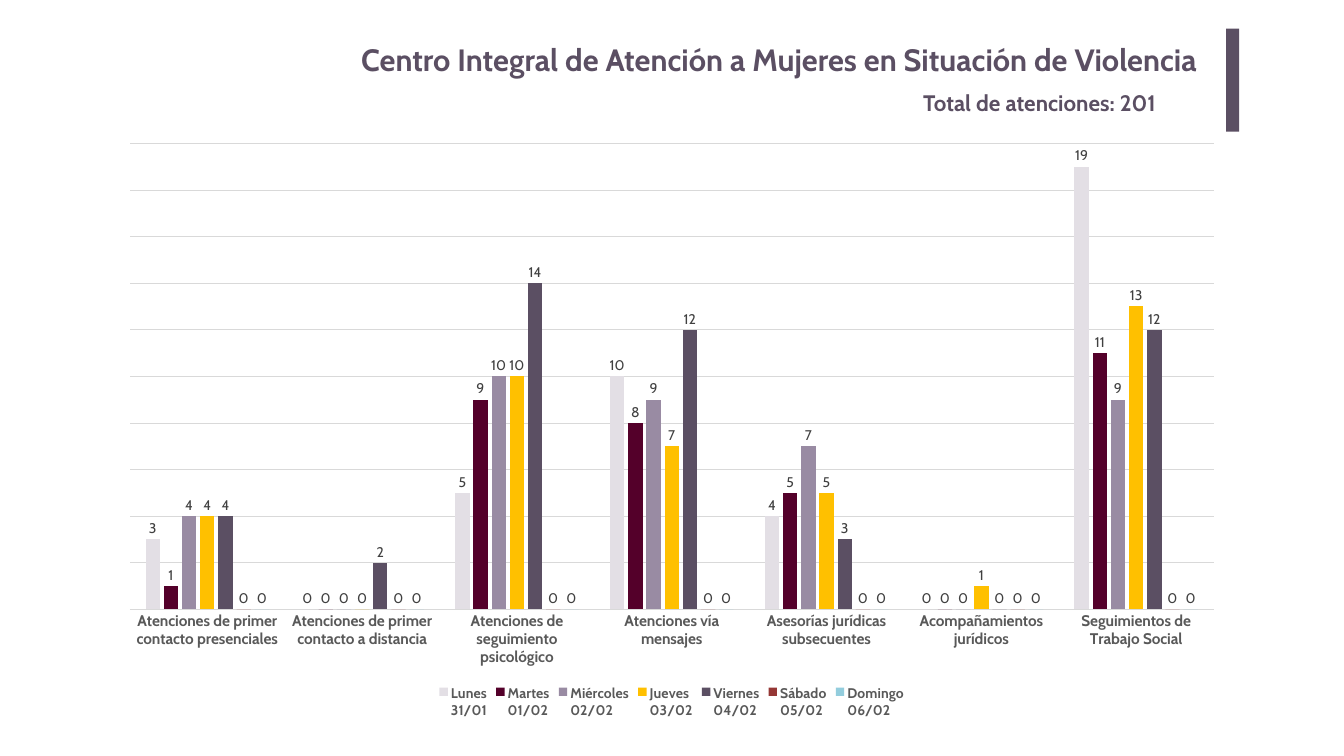
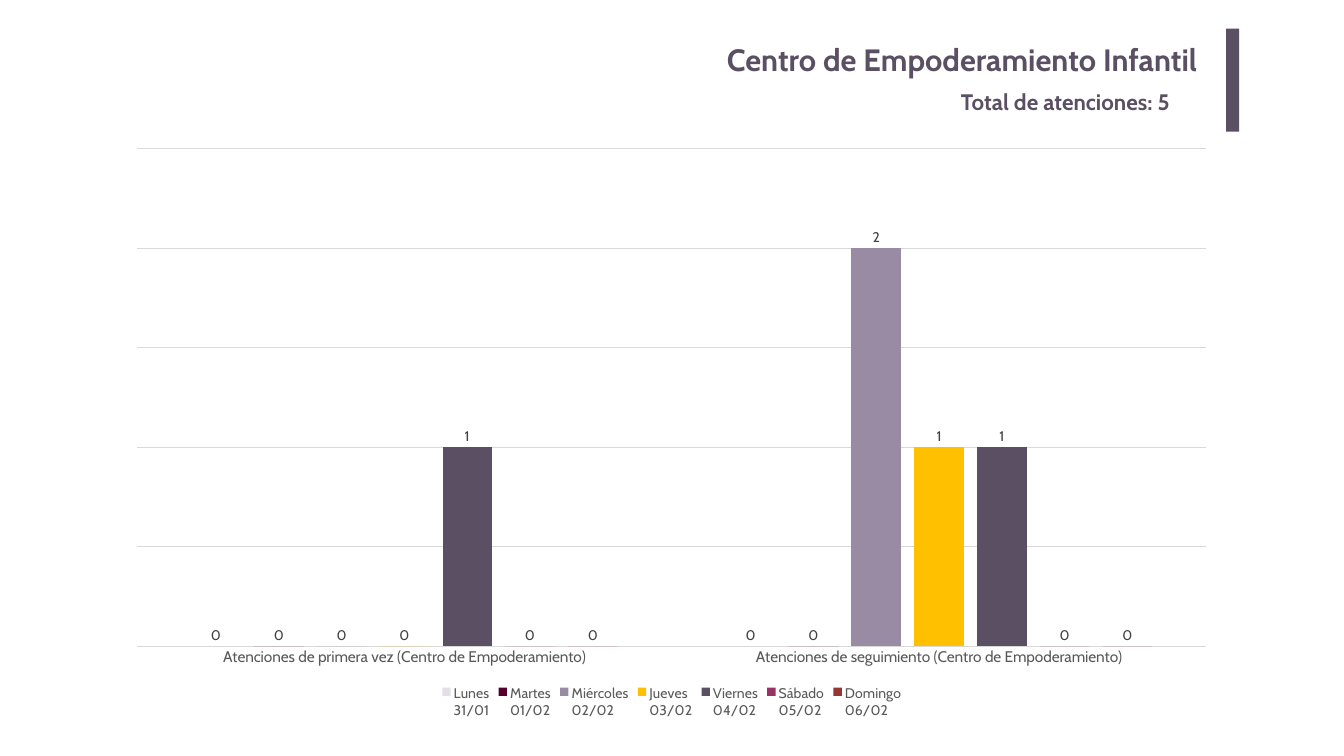
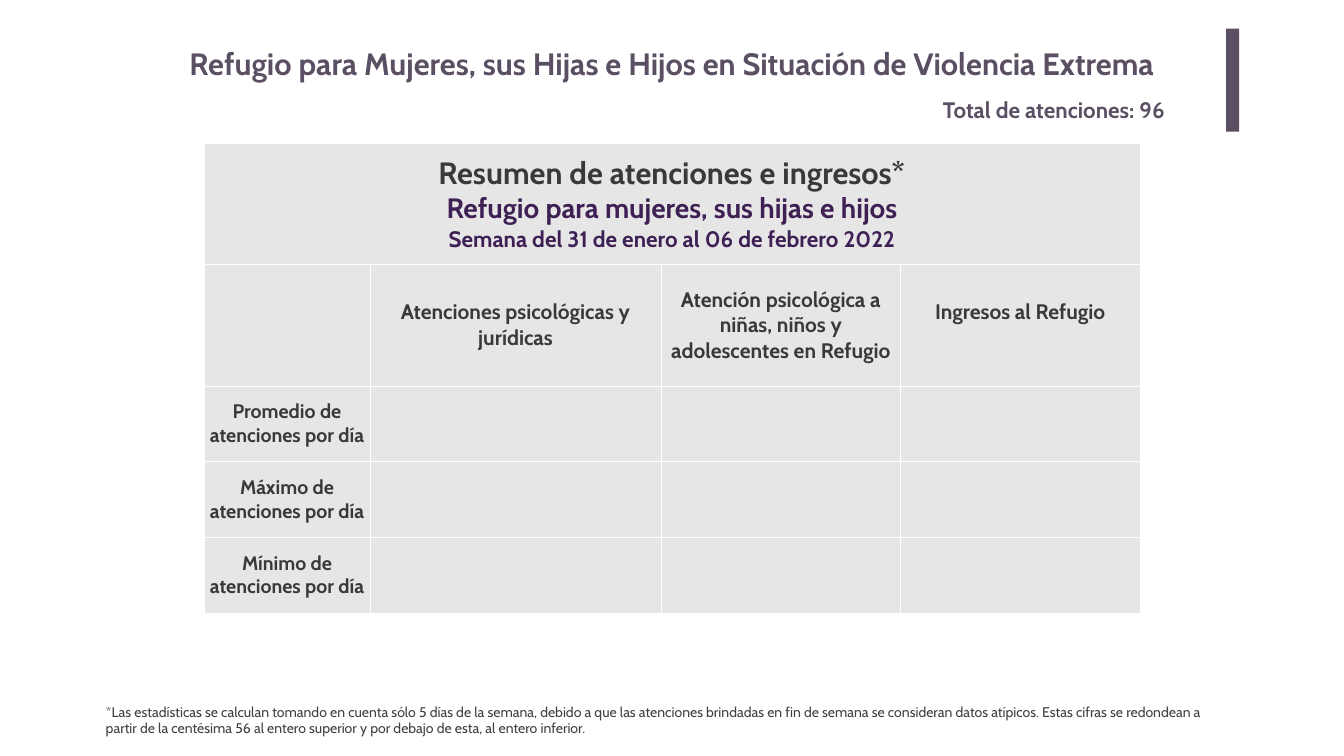
from lxml import etree
from pptx import Presentation
from pptx.chart.data import CategoryChartData
from pptx.dml.color import RGBColor
from pptx.enum.chart import (XL_CHART_TYPE as ChartType, XL_LABEL_POSITION as LabelPos,
                             XL_LEGEND_POSITION as LegendPos, XL_TICK_MARK as Tick)
from pptx.enum.shapes import MSO_SHAPE as Shape
from pptx.enum.text import MSO_ANCHOR as Anchor, MSO_AUTO_SIZE as AutoSize, PP_ALIGN as Align
from pptx.oxml.ns import qn
from pptx.util import Inches, Pt

FONT = "Cabin"
PLUM, VIOLET, WHITE = "5B4F63", "3E2054", "FFFFFF"
INK, TEXT, LABEL = "3B3838", "404040", "595959"
GRID, CELL = "D9D9D9", "E7E6E6"
DAYS = ["Lunes\n31/01", "Martes\n01/02", "Miércoles\n02/02", "Jueves\n03/02",
        "Viernes\n04/02", "Sábado\n05/02", "Domingo\n06/02"]
WEEKDAY_COLORS = ["E3DFE5", "54002A", "998BA3", "FFC000", PLUM]


def rgb(value):
    return RGBColor.from_string(value)


def set_font(font, size, color, bold=False):
    font.name, font.size, font.bold = FONT, Pt(size), bold
    font.color.rgb = rgb(color)


def box(at):
    return [Inches(v) for v in at]


class Report:
    """Holds the shared style and the slide being built."""

    def __init__(self):
        self.prs = Presentation()
        self.prs.slide_width, self.prs.slide_height = Inches(26.67), Inches(15)

    def new_slide(self, title, at, total, total_at, align=Align.RIGHT, inset=0.2):
        self.s = self.prs.slides.add_slide(self.prs.slide_layouts[5])
        sp = self.s.shapes.title
        sp.left, sp.top, sp.width, sp.height = box(at)
        tf = sp.text_frame
        tf.text = title
        tf.auto_size = AutoSize.NONE
        tf.vertical_anchor = Anchor.MIDDLE
        tf.margin_left = tf.margin_right = Inches(inset)
        p = tf.paragraphs[0]
        p.alignment = align
        set_font(p.runs[0].font, 44, PLUM, True)
        self.side_bar()
        self.text(f"Total de atenciones: {total}", total_at, 32, PLUM, True)

    def side_bar(self):
        sp = self.s.shapes.add_shape(Shape.RECTANGLE, *box((24.33, 0.57, 0.26, 2.04)))
        sp.shadow.inherit = False
        sp.fill.solid()
        sp.fill.fore_color.rgb = rgb(PLUM)
        sp.line.fill.background()

    def text(self, text, at, size, color, bold=False):
        tf = self.s.shapes.add_textbox(*box(at)).text_frame
        tf.word_wrap = True
        tf.auto_size = AutoSize.SHAPE_TO_FIT_TEXT
        tf.text = text
        set_font(tf.paragraphs[0].runs[0].font, size, color, bold)

    def column_chart(self, at, cats, rows, weekend_colors, top, step, bold=False):
        """Draw one column per day; rows holds the seven daily values of each category."""
        data = CategoryChartData()
        data.categories = cats
        for day, values in zip(DAYS, zip(*rows)):
            data.add_series(day, values)
        chart = self.s.shapes.add_chart(ChartType.COLUMN_CLUSTERED, *box(at), data).chart
        set_font(chart.font, 10, "000000")
        chart.has_title = False
        chart.has_legend = True
        chart.legend.position = LegendPos.BOTTOM
        chart.legend.include_in_layout = False
        set_font(chart.legend.font, 20, LABEL, bold)

        axis = chart.category_axis
        axis.major_tick_mark = axis.minor_tick_mark = Tick.NONE
        set_font(axis.tick_labels.font, 22, LABEL, bold)
        values = chart.value_axis
        values.visible = False
        values.minimum_scale, values.maximum_scale, values.major_unit = 0, top, step
        for line in (axis.format.line, values.major_gridlines.format.line):
            line.color.rgb = rgb(GRID)
            line.width = Pt(0.75)

        plot = chart.plots[0]
        plot.gap_width, plot.overlap, plot.vary_by_categories = 219, -27, False
        for series, color in zip(plot.series, WEEKDAY_COLORS + weekend_colors):
            series.format.fill.solid()
            series.format.fill.fore_color.rgb = rgb(color)
            series.invert_if_negative = False
            labels = series.data_labels
            labels.show_value = True
            labels.position = LabelPos.OUTSIDE_END
            set_font(labels.font, 20, TEXT)

    def table(self, at, widths, heights):
        tbl = self.s.shapes.add_table(len(heights), len(widths), *box(at)).table
        tbl.first_row = tbl.horz_banding = False
        for col, width in zip(tbl.columns, widths):
            col.width = Inches(width)
        for row, height in zip(tbl.rows, heights):
            row.height = Inches(height)
        for cell in tbl.iter_cells():
            self.borders(cell)
            cell.fill.solid()
            cell.fill.fore_color.rgb = rgb(CELL)
        return tbl

    def borders(self, cell):
        props = cell._tc.get_or_add_tcPr()
        for side in ("lnL", "lnR", "lnT", "lnB"):
            ln = etree.SubElement(props, qn(f"a:{side}"), w=str(Pt(1)))
            fill = etree.SubElement(ln, qn("a:solidFill"))
            etree.SubElement(fill, qn("a:srgbClr"), val=WHITE)

    def cell_text(self, cell, *lines):
        """Each line is a (text, size, color) tuple."""
        cell.vertical_anchor = Anchor.MIDDLE
        cell.margin_left = cell.margin_right = cell.margin_top = cell.margin_bottom = 0
        tf = cell.text_frame
        tf.text = "\n".join(line[0] for line in lines)
        for p, (_, size, color) in zip(tf.paragraphs, lines):
            p.alignment = Align.CENTER
            set_font(p.runs[0].font, size, color, True)


def women_center(report):
    report.new_slide("Centro Integral de Atención a Mujeres en Situación de Violencia",
                     (3.66, 0.67, 20.3, 1.02), 201, (18.22, 1.71, 5.92, 0.64))
    services = {
        "Atenciones de primer contacto presenciales": (3, 1, 4, 4, 4, 0, 0),
        "Atenciones de primer contacto a distancia": (0, 0, 0, 0, 2, 0, 0),
        "Atenciones de seguimiento psicológico": (5, 9, 10, 10, 14, 0, 0),
        "Atenciones vía mensajes": (10, 8, 9, 7, 12, 0, 0),
        "Asesorías jurídicas subsecuentes": (4, 5, 7, 5, 3, 0, 0),
        "Acompañamientos jurídicos": (0, 0, 0, 1, 0, 0, 0),
        "Seguimientos de Trabajo Social": (19, 11, 9, 13, 12, 0, 0),
    }
    report.column_chart((2.13, 2.61, 22.4, 11.72), list(services), services.values(),
                        ["953735", "93CDDD"], top=20, step=2, bold=True)


def children_center(report):
    report.new_slide("Centro de Empoderamiento Infantil",
                     (3.66, 0.67, 20.3, 1.02), 5, (18.97, 1.69, 5.05, 0.64))
    services = {
        "Atenciones de primera vez (Centro de Empoderamiento)": (0, 0, 0, 0, 1, 0, 0),
        "Atenciones de seguimiento (Centro de Empoderamiento)": (0, 0, 2, 1, 1, 0, 0),
    }
    report.column_chart((2.28, 2.71, 22.1, 11.62), list(services), services.values(),
                        ["993366", "953735"], top=2.5, step=0.5)


def shelter(report):
    report.new_slide("Refugio para Mujeres, sus Hijas e Hijos en Situación de Violencia Extrema",
                     (3.66, 0.84, 20.73, 0.84), 96, (18.61, 1.85, 5.35, 0.64),
                     Align.LEFT, 0.1)
    tbl = report.table((4.05, 2.84, 18.56, 9.32), [3.29, 5.78, 4.75, 4.75],
                       [2.4, 2.42] + [1.5] * 3)
    tbl.cell(0, 0).merge(tbl.cell(0, 3))
    report.cell_text(tbl.cell(0, 0),
                     ("Resumen de atenciones e ingresos*", 44, INK),
                     ("Refugio para mujeres, sus hijas e hijos", 40, VIOLET),
                     ("Semana del 31 de enero al 06 de febrero 2022", 32, VIOLET))
    headings = ["Atenciones psicológicas y jurídicas",
                "Atención psicológica a niñas, niños y adolescentes en Refugio",
                "Ingresos al Refugio"]
    for col, heading in enumerate(headings, 1):
        report.cell_text(tbl.cell(1, col), (heading, 30, INK))
    tbl.cell(1, 3).margin_bottom = Inches(0.5)
    for row, measure in enumerate(["Promedio", "Máximo", "Mínimo"], 2):
        report.cell_text(tbl.cell(row, 0), (f"{measure} de atenciones por día", 28, INK))
    report.text("*Las estadísticas se calculan tomando en cuenta sólo 5 días de la semana, "
                "debido a que las atenciones brindadas en fin de semana se consideran datos "
                "atípicos. Estas cifras se redondean a partir de la centésima 56 al entero "
                "superior y por debajo de esta, al entero inferior.",
                (2, 13.9, 22.33, 0.77), 20, TEXT)


def main():
    report = Report()
    women_center(report)
    children_center(report)
    shelter(report)
    report.prs.save("out.pptx")


if __name__ == "__main__":
    main()
